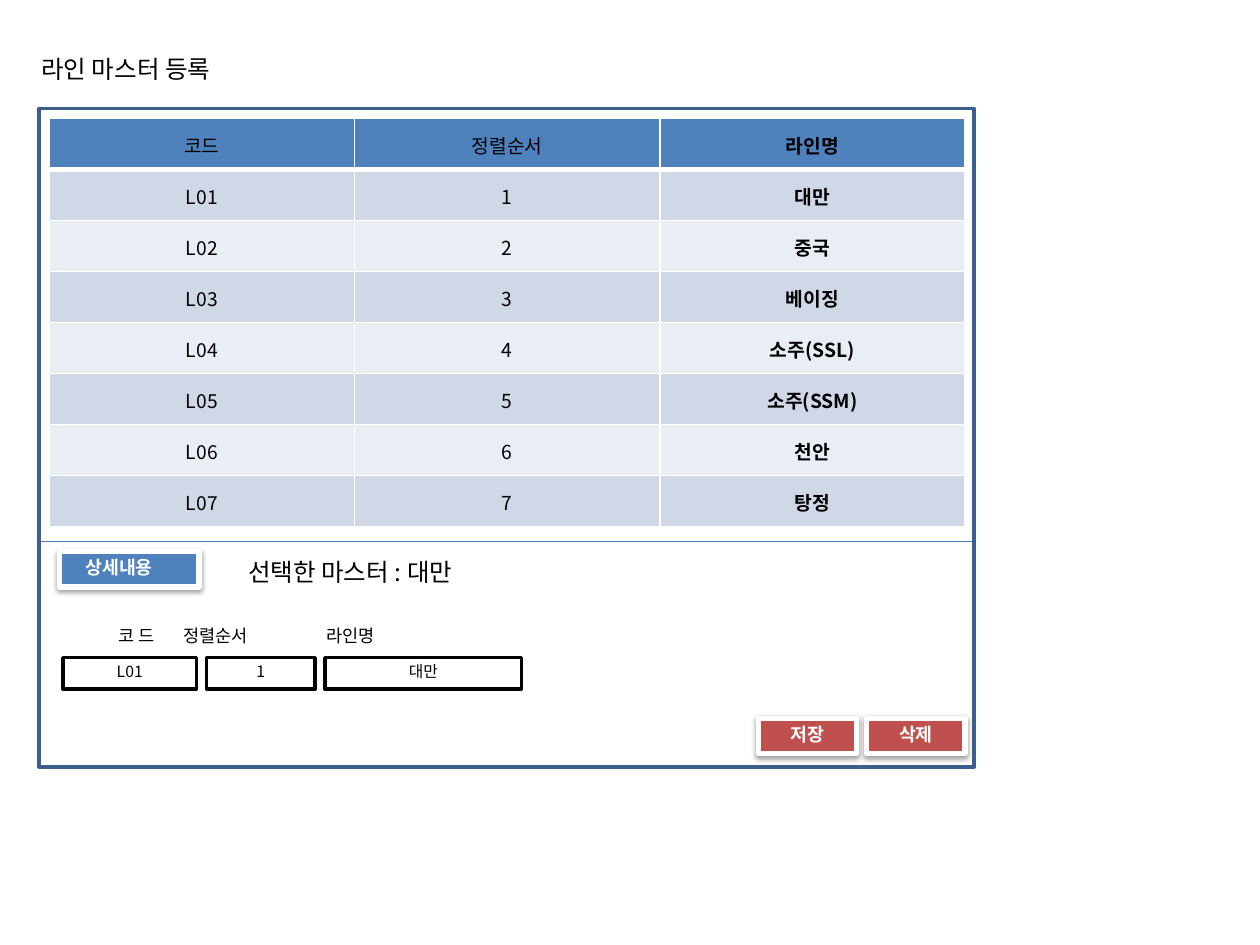
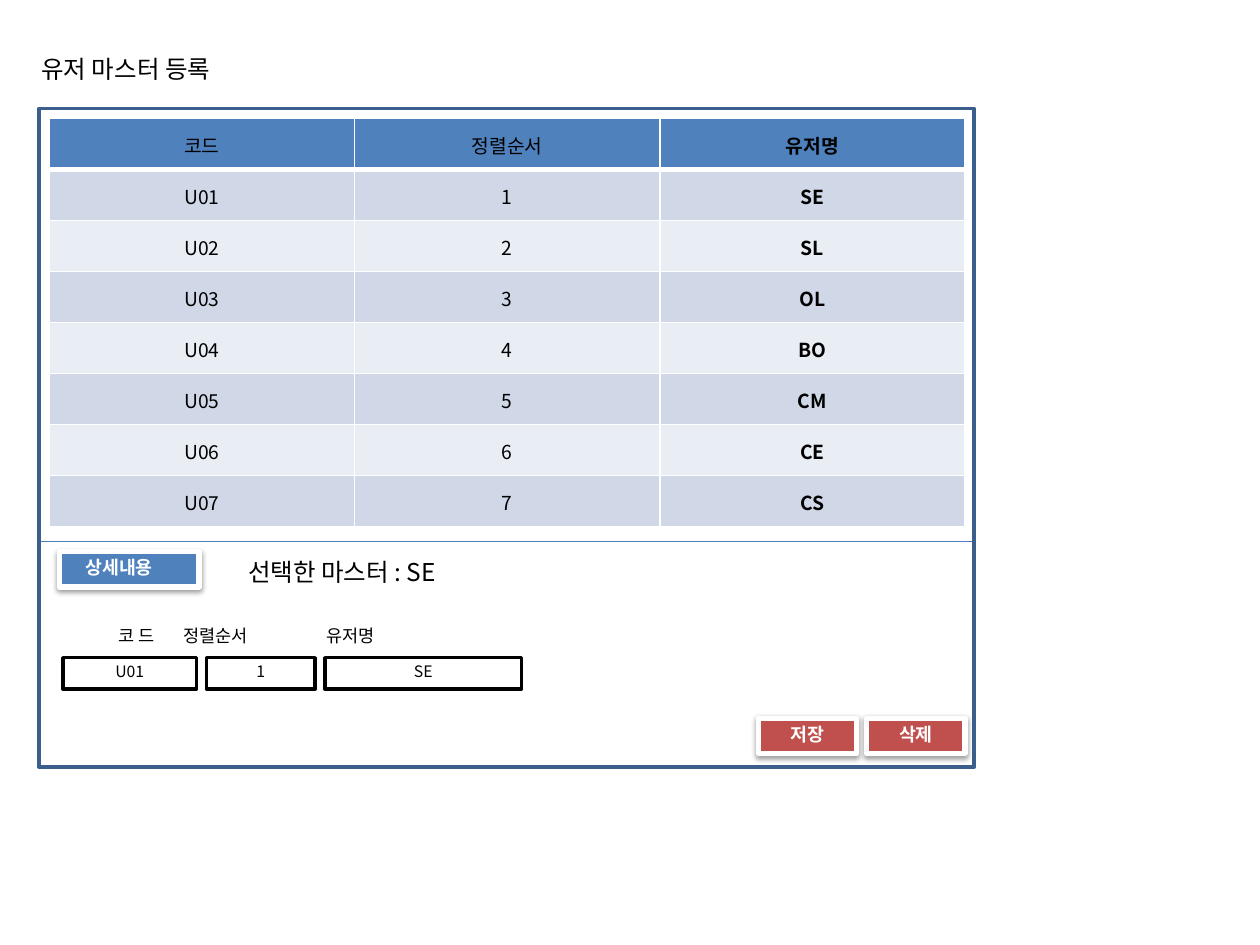
from dataclasses import dataclass

from lxml.etree import SubElement
from pptx import Presentation
from pptx.dml.color import RGBColor
from pptx.enum.shapes import MSO_CONNECTOR, MSO_SHAPE
from pptx.enum.text import MSO_ANCHOR as Anchor, PP_ALIGN as Align
from pptx.oxml.ns import qn
from pptx.util import Inches, Pt


@dataclass(frozen=True)
class Theme:
    """Colours, font and type sizes shared by the slides."""
    font: str = "Noto Sans CJK KR"
    white: str = "FFFFFF"
    black: str = "000000"
    blue: str = "4F81BD"
    red: str = "C0504D"
    frame: str = "3A5F8C"
    divider: str = "4B7EBC"
    bands: tuple = ("D0D8E8", "E9EDF4")
    title: float = 14
    cell: float = 11
    button: float = 10.5
    label: float = 10
    field: float = 9


@dataclass(frozen=True)
class Box:
    """A rectangle in inches."""
    left: float
    top: float
    width: float
    height: float

    def inner(self, left, top, width, height):
        """Return a box placed relative to this one."""
        return Box(self.left + left, self.top + top, width, height)

    def lengths(self):
        """Return the position and size as lengths."""
        return [Inches(v) for v in (self.left, self.top, self.width, self.height)]


@dataclass(frozen=True)
class Master:
    """The content of one master registration screen."""
    subject: str
    prefix: str
    names: tuple

    def rows(self):
        """Return code, sort order and name for each entry."""
        return [(f"{self.prefix}{i:02}", str(i), name)
                for i, name in enumerate(self.names, 1)]

    def headings(self):
        """Return the column headings."""
        return "코드", "정렬순서", f"{self.subject}명"


THEME = Theme()
TITLE = Box(0.23, 0.39, 1.71, 0.34)
PANEL = Box(0.31, 0.86, 7.42, 5.23)
DETAIL = PANEL.inner(0, 3.44, 7.42, 1.79)
TEXT_MARGINS = {"margin_left": Inches(0.1), "margin_right": Inches(0.1),
                "margin_top": 0, "margin_bottom": Inches(0.03)}
CELL_MARGINS = {"margin_left": Inches(0.01), "margin_right": Inches(0.01),
                "margin_top": Inches(0.01), "margin_bottom": 0}
MASTERS = (
    Master("라인", "L", ("대만", "중국", "베이징", "소주(SSL)", "소주(SSM)", "천안", "탕정")),
    Master("유저", "U", ("SE", "SL", "OL", "BO", "CM", "CE", "CS")),
)


def set_all(target, values):
    """Set attributes from a dict."""
    for name, value in values.items():
        setattr(target, name, value)


def rgb(color):
    """Return a colour object for a hex value."""
    return RGBColor.from_string(color)


def write(frame, text, size, color=THEME.black, bold=False, align=Align.LEFT):
    """Write one formatted paragraph and return it."""
    paragraph = frame.paragraphs[0]
    paragraph.alignment = align
    run = paragraph.add_run()
    run.text = text
    set_all(run.font, {"name": THEME.font, "size": Pt(size), "bold": bold})
    run.font.color.rgb = rgb(color)
    SubElement(run.font._element, qn("a:ea"), typeface=THEME.font)
    return paragraph


def add_text(slide, box, text, size):
    """Add a left-aligned text box and return its paragraph."""
    frame = slide.shapes.add_textbox(*box.lengths()).text_frame
    set_all(frame, {"word_wrap": True, "vertical_anchor": Anchor.MIDDLE, **TEXT_MARGINS})
    return write(frame, text, size)


def add_rectangle(slide, box, fill, line, weight):
    """Add a flat rectangle, hollow when it has no fill."""
    shape = slide.shapes.add_shape(MSO_SHAPE.RECTANGLE, *box.lengths())
    if fill:
        shape.fill.solid()
        shape.fill.fore_color.rgb = rgb(fill)
    else:
        shape.fill.background()
    shape.line.color.rgb = rgb(line)
    shape.line.width = Pt(weight)
    shape.shadow.inherit = False
    set_all(shape.text_frame, {"word_wrap": True, "vertical_anchor": Anchor.MIDDLE,
                               **TEXT_MARGINS})
    return shape


def add_button(slide, box, text, fill, align=Align.CENTER, indent=0.1):
    """Add a white-edged button with a soft shadow."""
    shape = add_rectangle(slide, box, fill, THEME.white, 3)
    shape.text_frame.margin_left = Inches(indent)
    write(shape.text_frame, text, THEME.button, THEME.white, True, align)
    effects = shape._element.spPr.find(qn("a:effectLst"))
    shadow = SubElement(effects, qn("a:outerShdw"), blurRad=str(Pt(3.1)),
                        dist=str(Pt(1.6)), dir="5400000", rotWithShape="0")
    color = SubElement(shadow, qn("a:srgbClr"), val=THEME.black)
    SubElement(color, qn("a:alpha"), val="38000")


def set_borders(cell, weights):
    """Draw white borders, inserted ahead of the cell fill."""
    properties = cell._tc.get_or_add_tcPr()
    for index, (side, weight) in enumerate(weights.items()):
        line = SubElement(properties, qn(f"a:{side}"), w=str(Pt(weight)))
        fill = SubElement(line, qn("a:solidFill"))
        SubElement(fill, qn("a:srgbClr"), val=THEME.white)
        properties.insert(index, line)


def draw_table(slide, box, master):
    """Draw the list of entries."""
    rows = [master.headings(), *master.rows()]
    columns = len(rows[0])
    table = slide.shapes.add_table(len(rows), columns, *box.lengths()).table
    for column in table.columns:
        column.width = Inches(box.width / columns)
    for r, row in enumerate(rows):
        table.rows[r].height = Inches(box.height / len(rows))
        for c, text in enumerate(row):
            cell = table.cell(r, c)
            set_all(cell, {"vertical_anchor": Anchor.MIDDLE, **CELL_MARGINS})
            cell.fill.solid()
            cell.fill.fore_color.rgb = rgb(THEME.bands[(r - 1) % 2] if r else THEME.blue)
            set_borders(cell, {"lnL": 1, "lnR": 1, "lnT": 3 if r == 1 else 1,
                               "lnB": 1 if r else 3})
            write(cell.text_frame, text, THEME.cell, bold=c == columns - 1,
                  align=Align.CENTER)


def draw_fields(slide, box, master):
    """Draw the labels and the values of the selected entry."""
    labels = ("", "코 드", *master.headings()[1:])
    paragraph = add_text(slide, box.inner(-0.03, 0, 6.09, 0.27),
                         "\t".join(labels), THEME.label)
    tabs = SubElement(paragraph._p.get_or_add_pPr(), qn("a:tabLst"))
    for position in (0.37, 0.89, 2.02):
        SubElement(tabs, qn("a:tab"), pos=str(Inches(position)), algn="l")
    left, gap = 0, 0.08
    for text, width in zip(master.rows()[0], (1.06, 0.86, 1.56)):
        shape = add_rectangle(slide, box.inner(left, 0.3, width, 0.25),
                              THEME.white, THEME.black, 2)
        write(shape.text_frame, text, THEME.field, align=Align.CENTER)
        left += width + gap


def draw_detail(slide, box, master):
    """Draw the detail area under the table."""
    add_button(slide, box.inner(0.16, 0.08, 1.11, 0.28), "상세내용",
               THEME.blue, Align.LEFT, 0.21)
    add_text(slide, box.inner(1.56, 0.08, 2.02, 0.34),
             f"선택한 마스터 : {master.names[0]}", THEME.title)
    draw_fields(slide, box.inner(0.19, 0.62, 3.64, 0.55), master)
    for index, text in enumerate(("저장", "삭제")):
        add_button(slide, box.inner(5.71 + index * 0.86, 1.4, 0.78, 0.28), text, THEME.red)
    left, top, width, _ = box.lengths()
    divider = slide.shapes.add_connector(MSO_CONNECTOR.STRAIGHT, left, top, left + width, top)
    divider.line.color.rgb = rgb(THEME.divider)
    divider.line.width = Pt(0.75)
    SubElement(divider._element.spPr, qn("a:effectLst"))


def draw_master(slide, master):
    """Draw a whole registration screen."""
    add_text(slide, TITLE, f"{master.subject} 마스터 등록", THEME.title)
    draw_table(slide, PANEL.inner(0.08, 0.08, 7.27, 3.24), master)
    draw_detail(slide, DETAIL, master)
    add_rectangle(slide, PANEL, None, THEME.frame, 2)


def main():
    """Build and save the presentation."""
    presentation = Presentation()
    set_all(presentation, {"slide_width": Inches(10), "slide_height": Inches(7.5)})
    for master in MASTERS:
        draw_master(presentation.slides.add_slide(presentation.slide_layouts[6]), master)
    presentation.save("out.pptx")


if __name__ == "__main__":
    main()
